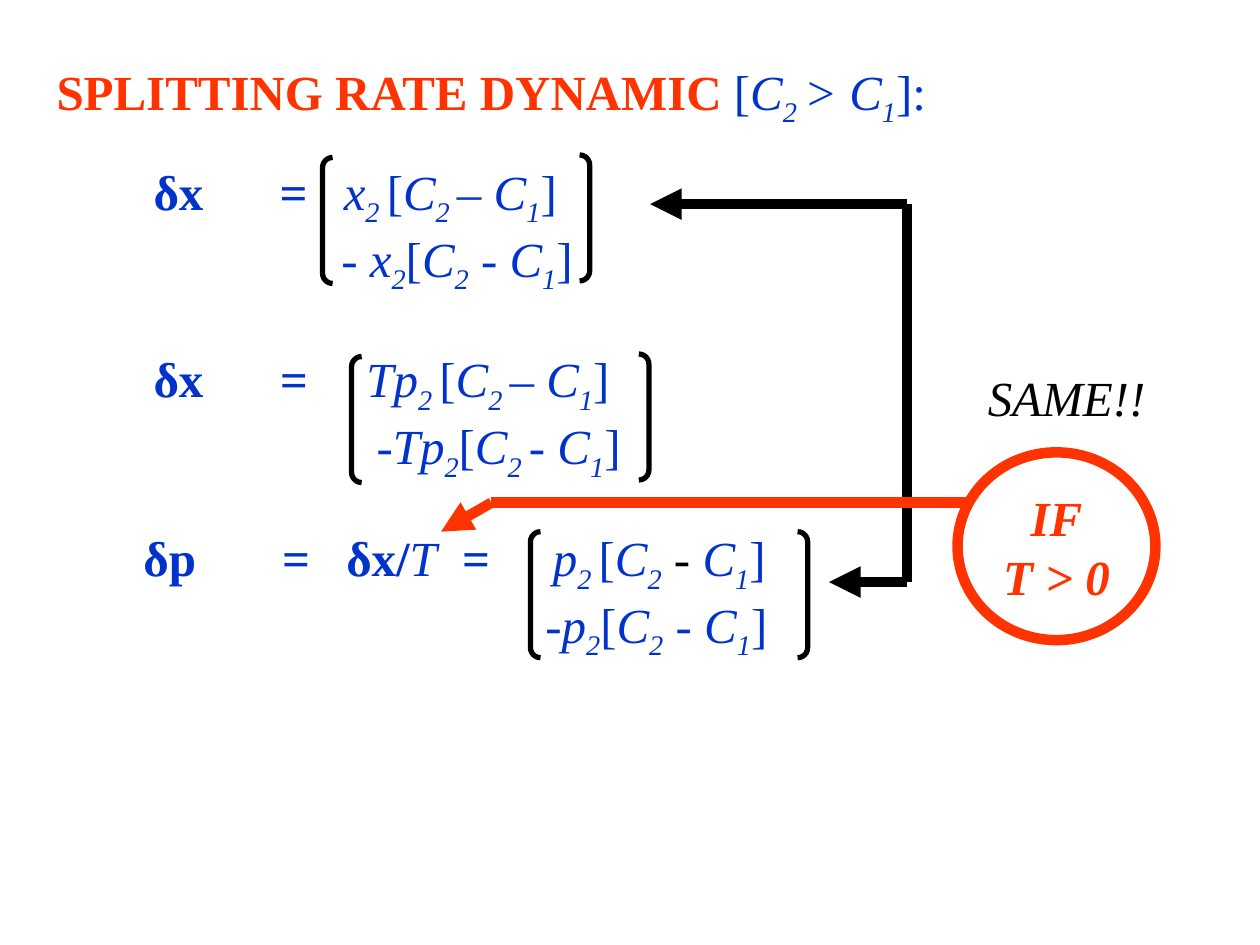
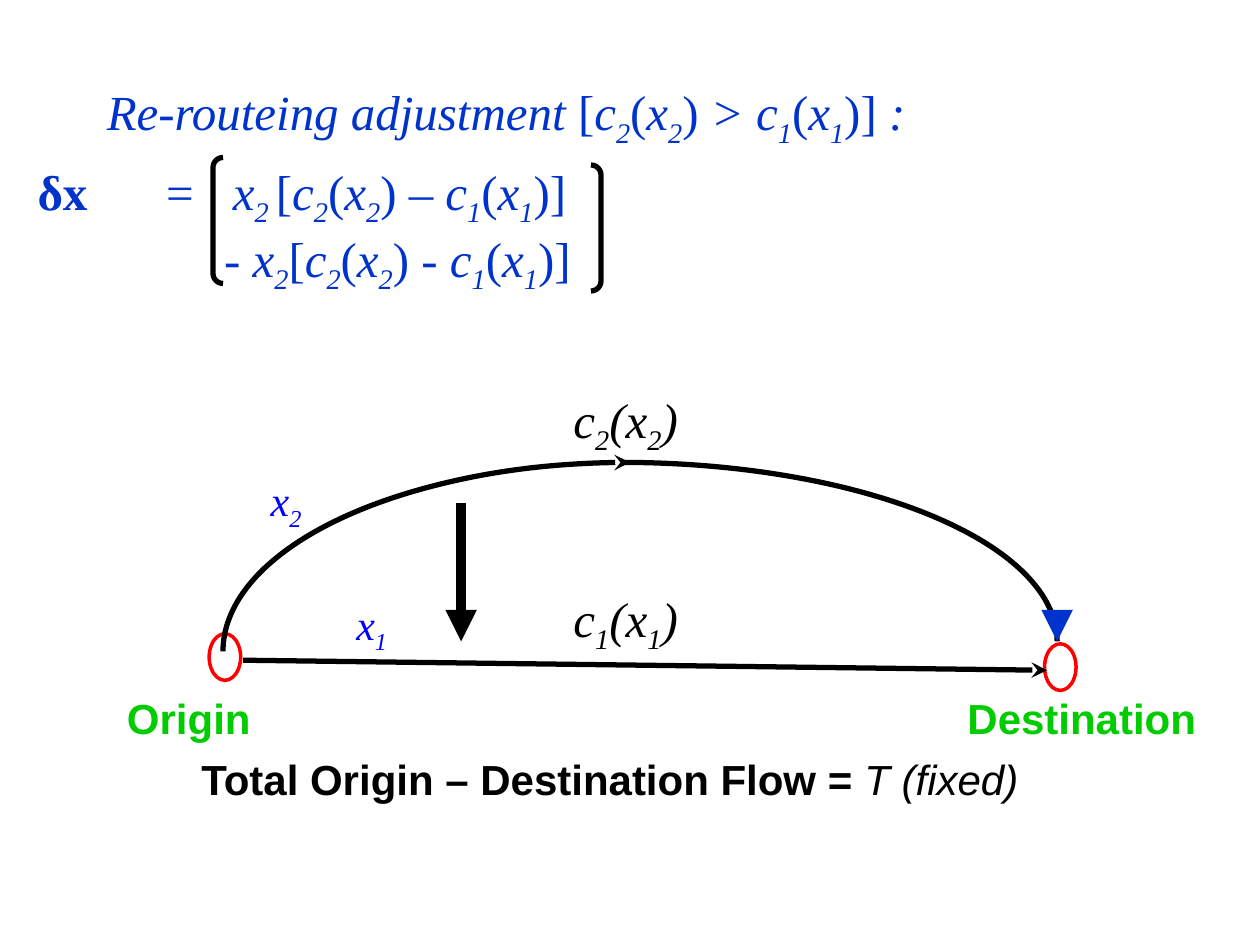
import pptx
import pptx.util
import pptx.dml.color
import pptx.enum.shapes
import pptx.enum.text
import pptx.oxml.ns
from lxml import etree
from pptx.util import Inches

Shape = pptx.enum.shapes.MSO_SHAPE
Align = pptx.enum.text.PP_ALIGN

THEME = {
    "serif": "Times New Roman", "sans": "Arial",
    "formula": 28, "label": 24,
    "black": "000000", "blue": "0033CC", "orange": "FF3300",
    "red": "FF0000", "green": "00CC00", "flow": "0000FF",
    "thin": 2, "medium": 3, "thick": 6,
}
BRACKET_SIZE = (0.08, 1)


def symbol(name, index):
    return [(name, "i"), (index, "is")]


def cost(index):
    return symbol("c", index) + [("(", "")] + symbol("x", index) + [(")", "")]


def difference(second, sign, first):
    return [("[", "")] + second + [sign] + first + [("]", "")]


def capital_difference(index, sign):
    return difference(symbol("C", index), sign, symbol("C", "1"))


MINUS = (" - ", "")
DASH = ("– ", "i")

SPLITTING_TITLE = ([("SPLITTING RATE DYNAMIC ", "bo"), ("[", "")] + symbol("C", "2 ")
                   + [("> ", "i")] + symbol("C", "1") + [("]:", "")])
REROUTEING_TITLE = ([("Re-routeing adjustment ", "i"), ("[", "")] + cost("2")
                    + [(" > ", "i")] + cost("1") + [("]", ""), (" :", "i")])

SPLITTING_EQUATIONS = [
    ((1.12, 1.23, 4.59, 1.1), [
        ([("δx\t=\t", "b")] + symbol("x", "2 ") + capital_difference("2 ", DASH), (1, 1.51)),
        ([("\t- ", "i")] + symbol("x", "2") + capital_difference("2", MINUS), (1.49,)),
    ]),
    ((1.12, 2.72, 4.59, 1.1), [
        ([("δx\t", "b"), ("=\t", "bi")] + symbol("Tp", "2 ")
         + capital_difference("2 ", DASH), (1, 1.69)),
        ([("\t-", "i")] + symbol("Tp", "2") + capital_difference("2 ", ("- ", "")), (1.77,)),
    ]),
    ((1.04, 4.14, 6, 1.1), [
        ([("δp\t=\tδx/", "b"), ("T\t", "i"), ("=\t", "b")] + symbol("p", "2 ")
         + capital_difference("2", (" - ", "ik")), (1.1, 1.61, 2.53, 3.25)),
        ([("\t-", "i")] + symbol("p", "2") + capital_difference("2", MINUS), (3.19,)),
    ]),
]
REROUTEING_EQUATIONS = [
    ((0.2, 1.23, 5.59, 1.1), [
        ([("δx\t", "b"), ("=\t", "")] + symbol("x", "2 ")
         + difference(cost("2"), (" – ", "i"), cost("1")), (1.02, 1.55)),
        ([("\t- ", "i")] + symbol("x", "2") + difference(cost("2"), MINUS, cost("1")), (1.48,)),
    ]),
]

SPLITTING_BRACKETS = [((2.56, 1.25), (4.6, 1.23)), ((2.79, 2.83), (5.07, 2.81)),
                      ((4.21, 4.22), (6.33, 4.22))]
REROUTEING_BRACKETS = [((1.69, 1.25), (4.69, 1.31))]

SPLITTING_LINES = [
    ((7.2, 1.62), (5.16, 1.62), "black", "thick", "triangle"),
    ((7.2, 1.62), (7.2, 4.62), "black", "thick", None),
    ((7.2, 4.62), (6.58, 4.62), "black", "thick", "triangle"),
    ((3.9, 3.99), (7.68, 3.99), "orange", "thick", None),
    ((3.9, 3.99), (3.5, 4.22), "orange", "thick", "triangle"),
]
NETWORK_LINES = [
    ((1.93, 5.24), (8.31, 5.32), "black", "medium", "stealth"),
    ((8.39, 4.93), (8.39, 5.09), "blue", "thick", "triangle"),
    ((3.66, 3.99), (3.66, 5.09), "black", "thick", "triangle"),
]
NODES = [(1.66, 5.03, 0.25, 0.37), (8.29, 5.11, 0.25, 0.37)]
ROUTE_ARCS = [((1.47, 3.67, 6.92, 2.84), (270, 0), None),
              ((1.77, 3.67, 6.46, 3), (180, 270), "stealth")]

NODE_NAMES = [("Origin", (0.91, 5.45, 1.3, 0.5)), ("Destination", (7.58, 5.45, 2.1, 0.5))]
FLOW_LABELS = [("2", (2.05, 3.72, 2.08, 0.56)), ("1", (2.73, 4.7, 0.6, 0.56))]
COST_LABELS = [("2", (3.82, 3.04, 2.29, 0.63)), ("1", (3.82, 4.62, 2.29, 0.63))]
TOTAL_FLOW = [("Total Origin – Destination Flow = ", "b"), ("T (fixed)", "i")]


def color(name):
    return pptx.dml.color.RGBColor.from_string(THEME[name])


def add_child(parent, tag, **attributes):
    return etree.SubElement(parent, pptx.oxml.ns.qn(tag), attributes)


def fill_paragraph(paragraph, runs, ink, size, face, align, tabs=()):
    if tabs:
        tab_list = add_child(paragraph._p.get_or_add_pPr(), "a:tabLst")
        for tab in tabs:
            add_child(tab_list, "a:tab", pos=str(Inches(tab)), algn="l")
    paragraph.alignment = align
    paragraph.font.name = THEME[face]
    paragraph.font.size = pptx.util.Pt(THEME[size])
    paragraph.font.color.rgb = color(ink)
    for text, style in runs:
        run = paragraph.add_run()
        run.text = text
        run.font.bold = "b" in style
        run.font.italic = "i" in style
        if "s" in style:
            run._r.get_or_add_rPr().set("baseline", "-25000")
        for key, override in (("o", "orange"), ("k", "black")):
            if key in style:
                run.font.color.rgb = color(override)


def fill_text(shape, rows, ink="blue", size="formula", face="serif", align=Align.LEFT):
    frame = shape.text_frame
    for index, (runs, tabs) in enumerate(rows):
        paragraph = frame.add_paragraph() if index else frame.paragraphs[0]
        fill_paragraph(paragraph, runs, ink, size, face, align, tabs)


def add_text(slide, box, rows, **style):
    shape = slide.shapes.add_textbox(*map(Inches, box))
    shape.text_frame.word_wrap = True
    fill_text(shape, rows, **style)


def style_line(line, ink, weight, arrow=None):
    line.color.rgb = color(ink)
    line.width = pptx.util.Pt(THEME[weight])
    if arrow:
        add_child(line._get_or_add_ln(), "a:tailEnd", type=arrow)


def add_line(slide, start, end, ink, weight, arrow):
    connector = slide.shapes.add_connector(
        pptx.enum.shapes.MSO_CONNECTOR.STRAIGHT, *map(Inches, start + end))
    style_line(connector.line, ink, weight, arrow)
    add_child(connector._element.spPr, "a:effectLst")


def add_outline(slide, kind, box, ink, weight, adjustments=(), arrow=None):
    shape = slide.shapes.add_shape(kind, *map(Inches, box))
    shape.shadow.inherit = False
    shape.fill.background()
    style_line(shape.line, ink, weight, arrow)
    for index, value in enumerate(adjustments):
        shape.adjustments[index] = value
    return shape


def add_equations(slide, title, title_box, equations, brackets):
    add_text(slide, title_box, [(title, ())])
    for box, rows in equations:
        add_text(slide, box, rows)
    for pair in brackets:
        for kind, corner in zip((Shape.LEFT_BRACKET, Shape.RIGHT_BRACKET), pair):
            add_outline(slide, kind, corner + BRACKET_SIZE, "black", "medium", (1,))


def build_splitting_slide(slide):
    add_equations(slide, SPLITTING_TITLE, (0.35, 0.44, 8.58, 0.63),
                  SPLITTING_EQUATIONS, SPLITTING_BRACKETS)
    for line in SPLITTING_LINES:
        add_line(slide, *line)
    add_text(slide, (7.6, 2.87, 1.73, 0.6), [([("SAME!!", "i")], ())],
             ink="black", align=Align.CENTER)
    condition = add_outline(slide, Shape.OVAL, (7.6, 3.59, 1.57, 1.49), "orange", "thick")
    condition.text_frame.word_wrap = False
    condition.text_frame.vertical_anchor = pptx.enum.text.MSO_ANCHOR.MIDDLE
    fill_text(condition, [([(text, "bi")], ()) for text in ("IF", "T > 0")],
              ink="orange", align=Align.CENTER)


def build_rerouteing_slide(slide):
    add_equations(slide, REROUTEING_TITLE, (0.75, 0.6, 8.58, 0.63),
                  REROUTEING_EQUATIONS, REROUTEING_BRACKETS)
    for box in NODES:
        add_outline(slide, Shape.OVAL, box, "red", "thin")
    for box, angles, arrow in ROUTE_ARCS:
        adjustments = [angle * 0.6 for angle in angles]
        add_outline(slide, Shape.ARC, box, "black", "medium", adjustments, arrow)
    for line in NETWORK_LINES:
        add_line(slide, *line)
    for name, box in NODE_NAMES:
        add_text(slide, box, [([(name, "b")], ())], ink="green", size="label", face="sans")
    for index, box in FLOW_LABELS:
        add_text(slide, box, [(symbol("x", index), ())], ink="flow", size="label")
    for index, box in COST_LABELS:
        runs = symbol("c", index) + symbol("(x", index) + [(")", "i")]
        add_text(slide, box, [(runs, ())], ink="black", align=Align.CENTER)
    add_text(slide, (0.9, 5.93, 7.88, 0.5), [(TOTAL_FLOW, ())],
             ink="black", size="label", face="sans", align=Align.CENTER)


def main():
    presentation = pptx.Presentation()
    presentation.slide_width = Inches(10)
    presentation.slide_height = Inches(7.5)
    for build in (build_splitting_slide, build_rerouteing_slide):
        build(presentation.slides.add_slide(presentation.slide_layouts[6]))
    presentation.save("out.pptx")


if __name__ == "__main__":
    main()
